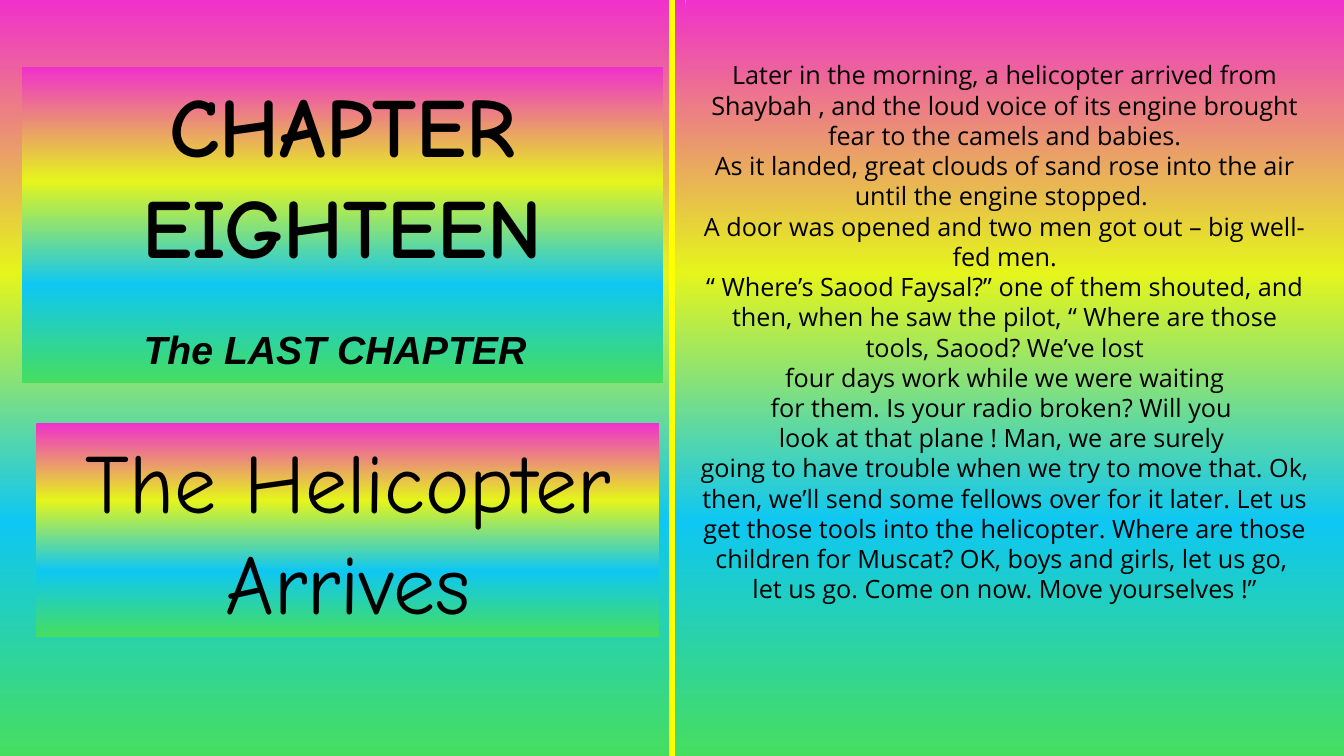
from lxml import etree
from pptx import Presentation
from pptx.dml.color import RGBColor
from pptx.enum.shapes import MSO_CONNECTOR, MSO_SHAPE
from pptx.enum.text import MSO_ANCHOR, MSO_AUTO_SIZE, PP_ALIGN
from pptx.oxml.ns import qn
from pptx.util import Pt

RECT = MSO_SHAPE.RECTANGLE
LINE = MSO_CONNECTOR.STRAIGHT
MIDDLE, TOP = MSO_ANCHOR.MIDDLE, MSO_ANCHOR.TOP
NONE = MSO_AUTO_SIZE.NONE
CENTER = PP_ALIGN.CENTER

WIDE, HIGH = 960, 540
RAINBOW = [(0, "F030CB"), (36, "E5F51B"), (69, "0EC7F2"), (100, "46DE5F")]
STORY = [
    "Later in the morning, a helicopter arrived from Shaybah , and the loud "
    "voice of its engine brought fear to the camels and babies.",
    "As it landed, great clouds of sand rose into the air until the engine stopped. ",
    "A door was opened and two men got out – big well-fed men.",
    "“ Where’s Saood Faysal?” one of them shouted, and then, when he saw the "
    "pilot, “ Where are those tools, Saood? We’ve lost",
    " four days work while we were waiting ",
    "for them. Is your radio broken? Will you ",
    "look at that plane ! Man, we are surely ",
    "going to have trouble when we try to move that. Ok, then, we’ll send some "
    "fellows over for it later. Let us get those tools into the helicopter. "
    "Where are those children for Muscat? OK, boys and girls, let us go, ",
    "let us go. Come on now. Move yourselves !”",
]


def color(code):
    return RGBColor.from_string(code)


def place(shape, x, y, w, h):
    shape.left, shape.top, shape.width, shape.height = map(Pt, (x, y, w, h))


def paint(shape):
    """Fill a shape with the rainbow, running from top to bottom."""
    shape.fill.gradient()
    shape.fill.gradient_angle = 270
    stops = shape._element.spPr.find(qn("a:gradFill")).find(qn("a:gsLst"))
    for stop in list(stops):
        stops.remove(stop)
    for spot, code in RAINBOW:
        stop = etree.SubElement(stops, qn("a:gs"), pos=str(spot * 1000))
        etree.SubElement(stop, qn("a:srgbClr"), val=code)
    shape.line.fill.background()


def panel(slide, x, y, w, h):
    shape = slide.shapes.add_shape(RECT, Pt(x), Pt(y), Pt(w), Pt(h))
    shape.shadow.inherit = False
    paint(shape)
    return shape


def write(shape, text, font="Comic Neue", size=60, bold=False, italic=False,
          anchor=MIDDLE, foot=3.6):
    """Write one centred paragraph for each line of text."""
    frame = shape.text_frame
    frame.word_wrap = True
    frame.auto_size = NONE
    frame.vertical_anchor = anchor
    frame.margin_left = frame.margin_right = Pt(7.2)
    frame.margin_top, frame.margin_bottom = Pt(3.6), Pt(foot)
    frame.text = text
    for para in frame.paragraphs:
        props = para._p.get_or_add_pPr()
        props.set("marL", "0")
        props.set("indent", "0")
        etree.SubElement(props, qn("a:buNone"))
        para.alignment = CENTER
        para.space_before = para.space_after = Pt(0)
        para.line_spacing = Pt(size * 1.2)
        for run in para.runs:
            run.font.name, run.font.size = font, Pt(size)
            run.font.bold, run.font.italic = bold, italic
            run.font.color.rgb = color("000000")


def raise_up(slide, shape):
    """Bring a placeholder in front of what is drawn so far."""
    slide.shapes._spTree.append(shape._element)


def spine(slide, x, y, h):
    rule = slide.shapes.add_connector(LINE, Pt(x), Pt(y), Pt(x), Pt(y + h))
    rule.line.color.rgb = color("FFFF00")
    rule.line.width = Pt(4.5)
    etree.SubElement(rule._element.spPr, qn("a:effectLst"))


def heading(slide, x, y, w, h):
    # Chapter title, with room for the subtitle below it
    title = slide.shapes.title
    raise_up(slide, title)
    place(title, x + 15.5, y + 48, 458, 225.5)
    paint(title)
    write(title, "CHAPTER EIGHTEEN", bold=True, foot=75.6)

    # Subtitle
    label = slide.shapes.add_textbox(Pt(x + 17.3), Pt(y + 229), Pt(444), Pt(41))
    write(label, "The LAST CHAPTER", font="Arial", size=28, bold=True,
          italic=True, anchor=TOP)

    # Episode name
    name = panel(slide, x + 26, y + 302.4, w - 44.6, 152.6)
    write(name, "The Helicopter Arrives")


def story(slide, x, y, w, h):
    body = slide.placeholders[1]
    raise_up(slide, body)
    place(body, x + 2.9, y + 39, w - 20, 422)
    write(body, "\n".join(STORY), font="Open Sans", size=18, anchor=TOP)


def main():
    deck = Presentation()
    deck.slide_width, deck.slide_height = Pt(WIDE), Pt(HIGH)
    slide = deck.slides.add_slide(deck.slide_layouts[1])

    # Two pages of the book and the spine between them
    left = (0, 0, 489.6, HIGH)
    right = (489.6, 0, WIDE - 489.6, HIGH)
    for page in (right, left):
        panel(slide, *page)
    spine(slide, 480, 0, HIGH)

    # Page contents
    heading(slide, *left)
    story(slide, *right)
    deck.save("out.pptx")


if __name__ == "__main__":
    main()
